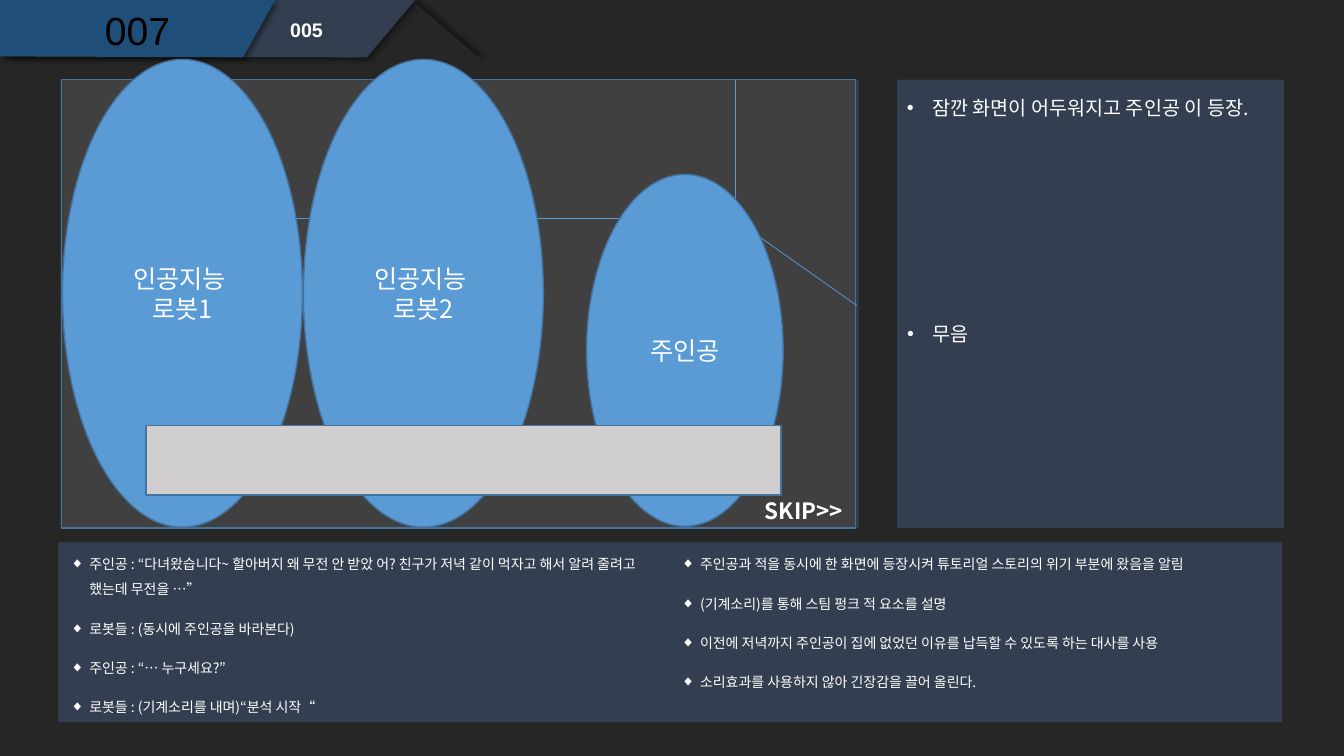
"""Build a storyboard slide with a scene sketch, direction notes and dialogue."""
from lxml import etree
from pptx import Presentation
from pptx.dml.color import RGBColor
from pptx.enum.shapes import MSO_CONNECTOR, MSO_SHAPE
from pptx.enum.text import MSO_ANCHOR, MSO_AUTO_SIZE, PP_ALIGN
from pptx.oxml import parse_xml
from pptx.oxml.ns import nsdecls, qn
from pptx.util import Pt

RECTANGLE, OVAL, TRIANGLE = MSO_SHAPE.RECTANGLE, MSO_SHAPE.OVAL, MSO_SHAPE.ISOSCELES_TRIANGLE
STRAIGHT = MSO_CONNECTOR.STRAIGHT
CENTER, MIDDLE = PP_ALIGN.CENTER, MSO_ANCHOR.MIDDLE
NO_AUTOFIT = MSO_AUTO_SIZE.NONE

BACKGROUND = RGBColor(0x26, 0x26, 0x26)
NAVY = RGBColor(0x33, 0x3F, 0x50)
DEEP_BLUE = RGBColor(0x1F, 0x4E, 0x79)
SCREEN_GRAY = RGBColor(0x40, 0x40, 0x40)
BLUE = RGBColor(0x5B, 0x9B, 0xD5)
OUTLINE = RGBColor(0x43, 0x73, 0x9E)
LIGHT_GRAY = RGBColor(0xD0, 0xCE, 0xCE)
WHITE = RGBColor(0xFF, 0xFF, 0xFF)
BLACK = RGBColor(0, 0, 0)
LATIN, KOREAN = "Arial", "Noto Sans CJK KR"


def paint(shape, fill, line=None):
    shape.shadow.inherit = False
    shape.fill.solid()
    shape.fill.fore_color.rgb = fill
    if line is None:
        shape.line.fill.background()
    else:
        shape.line.color.rgb = line
        shape.line.width = Pt(1)


def write(box, lines, size, font=KOREAN, color=WHITE, bold=False, bullet=None, indent=0):
    frame = box.text_frame
    frame.text = "\n".join(lines)
    for index, para in enumerate(frame.paragraphs):
        if bullet:
            properties = para._p.get_or_add_pPr()
            properties.set("marL", str(Pt(indent)))
            properties.set("indent", str(-Pt(indent)))
            etree.SubElement(properties, qn("a:buFont")).set("typeface", LATIN)
            etree.SubElement(properties, qn("a:buChar")).set("char", bullet)
            para.line_spacing = 1.5
            para.space_before = Pt(10 if index else 0)
        for span in para.runs:
            span.font.size = Pt(size)
            span.font.bold = bold
            span.font.color.rgb = color
            span.font.name = font
            etree.SubElement(span._r.get_or_add_rPr(), qn("a:ea")).set("typeface", font)


deck = Presentation()
deck.slide_width, deck.slide_height = Pt(960), Pt(540)
page = deck.slides.add_slide(deck.slide_layouts[5])
page.background.fill.solid()
page.background.fill.fore_color.rgb = BACKGROUND
shapes = page.shapes

fold = shapes.add_shape(TRIANGLE, Pt(249), Pt(2), Pt(95), Pt(41))
header = [(fold, BACKGROUND, 315)]
for left, top_right, bottom_right, color in [(3.6, 296.6, 262, NAVY), (0, 196.6, 173.5, DEEP_BLUE)]:
    builder = shapes.build_freeform(Pt(left), Pt(0))
    corners = [(top_right, 0), (bottom_right, 41), (left, 40.3)]
    builder.add_line_segments([(Pt(x), Pt(y)) for x, y in corners])
    header.append((builder.convert_to_shape(), color, 45))
for shape, color, angle in header:
    paint(shape, color)
    shape._element.spPr.find(qn("a:effectLst")).append(parse_xml(
        f'<a:outerShdw {nsdecls("a")} blurRad="{Pt(4)}" dist="{Pt(3)}" dir="{angle * 60000}" '
        'rotWithShape="0"><a:srgbClr val="000000"><a:alpha val="40000"/></a:srgbClr></a:outerShdw>'))

for left, top, width, height in [
    (43.2, 56.9, 570.2, 320.4), (640.8, 56.9, 276.5, 320.4), (41.8, 387.4, 874.1, 128.2)
]:
    paint(shapes.add_shape(RECTANGLE, Pt(left), Pt(top), Pt(width), Pt(height)), NAVY)

title = shapes.title
title.left, title.top, title.width, title.height = Pt(43.9), Pt(4.3), Pt(108.7), Pt(38.2)
write(title, ["007"], 28, LATIN, BLACK)
title.text_frame.auto_size = NO_AUTOFIT
title.text_frame.vertical_anchor = MIDDLE
title.text_frame.paragraphs[0].alignment = CENTER
title.text_frame.paragraphs[0].line_spacing = 0.9
shapes._spTree.append(title._element)

scene_number = shapes.add_textbox(Pt(200.2), Pt(10.8), Pt(72), Pt(23))
write(scene_number, ["005"], 14, LATIN, bold=True)
scene_number.text_frame.paragraphs[0].line_spacing = 0.9

dialogue = [
    "주인공 : “다녀왔습니다~ 할아버지 왜 무전 안 받았 어? 친구가 저녁 같이 먹자고 해서 알려 줄려고 했는데 무전을 …”",
    "로봇들 : (동시에 주인공을 바라본다)",
    "주인공 : “… 누구세요?”",
    "로봇들 : (기계소리를 내며)“분석 시작“",
]
intentions = [
    "주인공과 적을 동시에 한 화면에 등장시켜 튜토리얼 스토리의 위기 부분에 왔음을 알림",
    "(기계소리)를 통해 스팀 펑크 적 요소를 설명",
    "이전에 저녁까지 주인공이 집에 없었던 이유를 납득할 수 있도록 하는 대사를 사용",
    "소리효과를 사용하지 않아 긴장감을 끌어 올린다.",
]
for left, top, width, height, lines, size, bullet, indent in [
    (640.8, 218.2, 277.2, 159.1, ["무음"], 14, "•", 18),
    (640.8, 56.9, 276.5, 159.1, ["잠깐 화면이 어두워지고 주인공 이 등장."], 14, "•", 18),
    (43.2, 387.4, 436.3, 128.2, dialogue, 10, "◆", 13.5),
    (479.5, 387.4, 436.3, 128.2, intentions, 10, "◆", 13.5),
]:
    notes = shapes.add_textbox(Pt(left), Pt(top), Pt(width), Pt(height))
    notes.text_frame.word_wrap = True
    write(notes, lines, size, bullet=bullet, indent=indent)

screen = shapes.add_shape(RECTANGLE, Pt(43.9), Pt(56.9), Pt(567.4), Pt(320.4))
paint(screen, SCREEN_GRAY, OUTLINE)
skip = shapes.add_textbox(Pt(539.3), Pt(351.4), Pt(72), Pt(26.6))
skip.text_frame.word_wrap = False
write(skip, ["SKIP>>"], 16, bold=True)

for room_edge in [
    (43.9, 217.4, 129.6, 156.2),
    (130.3, 156.2, 130.3, 55.4),
    (130.3, 156.2, 526.3, 156.2),
    (612, 218.2, 526.3, 157.7),
    (525.6, 157.7, 525.6, 56.9),
]:
    edge = shapes.add_connector(STRAIGHT, *[Pt(value) for value in room_edge])
    edge.line.color.rgb = BLUE
    edge.line.width = Pt(0.5)
    etree.SubElement(edge._element.spPr, qn("a:effectLst"))

for left, top, width, height, lines in [
    (216.7, 42.5, 171.4, 334.1, ["인공지능 ", "로봇2"]),
    (44.6, 42.5, 171.4, 334.1, ["인공지능 ", "로봇1"]),
    (419, 124.6, 140.4, 251.3, ["주인공"]),
]:
    character = shapes.add_shape(OVAL, Pt(left), Pt(top), Pt(width), Pt(height))
    paint(character, BLUE, OUTLINE)
    write(character, lines, 18)
    character.text_frame.vertical_anchor = MIDDLE
    for para in character.text_frame.paragraphs:
        para.alignment = CENTER

dialogue_bar = shapes.add_shape(RECTANGLE, Pt(104.4), Pt(303.8), Pt(453.6), Pt(49.7))
paint(dialogue_bar, LIGHT_GRAY, OUTLINE)

deck.save("out.pptx")
